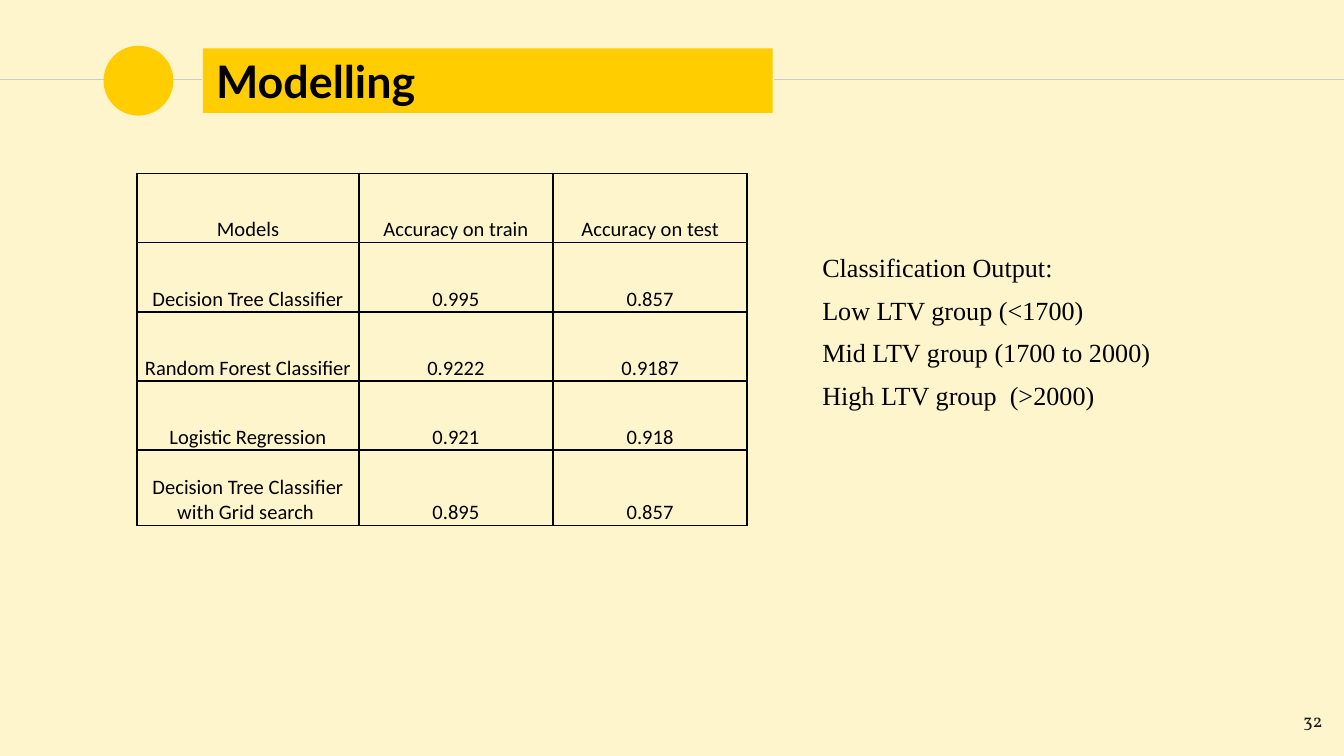
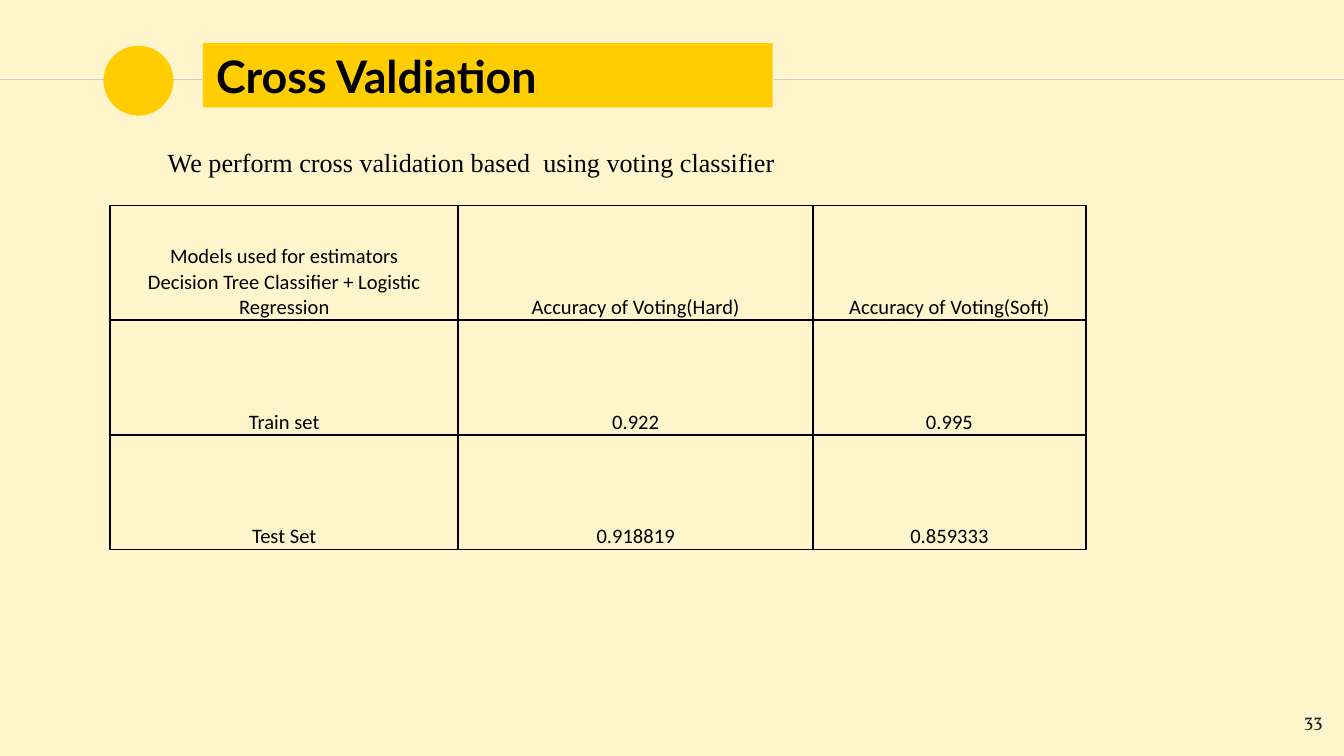
from dataclasses import dataclass

from lxml import etree
from pptx import Presentation
from pptx.dml.color import RGBColor
from pptx.enum import shapes, text
from pptx.oxml import ns
from pptx.util import Inches, Pt


@dataclass(frozen=True)
class Theme:
    background: str = "FFF5CC"
    accent: str = "FFCD00"
    rule: str = "CCCCCC"
    ink: str = "000000"
    number_ink: str = "1D1D1B"
    title_font: tuple = ("Lato", 24)
    body_font: tuple = ("Times New Roman", 14)
    table_font: tuple = ("Calibri", 11)
    number_font: tuple = ("Vollkorn", 10)


THEME = Theme()
WIDTH = 10
HEIGHT = WIDTH * 9 / 16
RULE_Y = 0.59
BAND_LEFT, BAND_WIDTH, BAND_HEIGHT = 1.51, 4.24, 0.48

# Content
SLIDES = [
    {
        "title": "Modelling",
        "title_top": 0.36,
        "number": "32",
        "body_box": (5.94, 1.77, 4.06, 3.2),
        "body": [
            "Classification Output:",
            "Low LTV group (<1700)",
            "Mid LTV group (1700 to 2000)",
            "High LTV group  (>2000)",
        ],
        "table_at": (1.02, 1.29),
        "columns": [1.65] + [2.89 / 2] * 2,
        "row_heights": [2.06 / 4] * 4 + [0.56],
        "rows": [
            ("Models", "Accuracy on train", "Accuracy on test"),
            ("Decision Tree Classifier", "0.995", "0.857"),
            ("Random Forest Classifier", "0.9222", "0.9187"),
            ("Logistic Regression", "0.921", "0.918"),
            ("Decision Tree Classifier with Grid search ", "0.895", "0.857"),
        ],
    },
    {
        "title": "Cross Valdiation",
        "title_top": 0.32,
        "number": "33",
        "body_box": (1.07, 0.99, 6.34, 0.54),
        "body": ["We perform cross validation based  using voting classifier"],
        "table_at": (0.82, 1.53),
        "columns": [2.59, 2.64, 2.03],
        "row_heights": [2.56 / 3] * 3,
        "rows": [
            (
                "Models used for estimators\nDecision Tree Classifier + Logistic Regression",
                "Accuracy of Voting(Hard)",
                "Accuracy of Voting(Soft)",
            ),
            ("Train set", "0.922", "0.995"),
            ("Test Set", "0.918819", "0.859333"),
        ],
    },
]


def rgb(color):
    return RGBColor.from_string(color)


def write(frame, lines, font, color=THEME.ink, align=text.PP_ALIGN.LEFT, bold=False):
    frame.text = "\n".join(lines)
    frame.word_wrap = True
    name, size = font
    for paragraph in frame.paragraphs:
        paragraph.alignment = align
        for run in paragraph.runs:
            run.font.name, run.font.size, run.font.bold = name, Pt(size), bold
            run.font.color.rgb = rgb(color)


def set_insets(target, left, top, right, bottom):
    target.margin_left, target.margin_top = Inches(left), Inches(top)
    target.margin_right, target.margin_bottom = Inches(right), Inches(bottom)


# Parts shared by both slides
def add_accent(slide, kind, box):
    accent = slide.shapes.add_shape(kind, *map(Inches, box))
    accent.shadow.inherit = False
    accent.fill.solid()
    accent.fill.fore_color.rgb = rgb(THEME.accent)
    accent.line.fill.background()
    return accent


def add_rule(slide, start, end):
    rule = slide.shapes.add_connector(
        shapes.MSO_CONNECTOR.STRAIGHT,
        Inches(start), Inches(RULE_Y), Inches(end), Inches(RULE_Y))
    rule.line.color.rgb = rgb(THEME.rule)
    rule.line.width = Pt(0.75)
    etree.SubElement(rule._element.spPr, ns.qn("a:effectLst"))


def add_textbox(slide, box):
    frame = slide.shapes.add_textbox(*map(Inches, box)).text_frame
    set_insets(frame, 0.1, 0.1, 0.1, 0.1)
    return frame


def add_header(slide, title, top):
    add_rule(slide, 0, 1.5)
    add_accent(slide, shapes.MSO_SHAPE.OVAL, (0.77, RULE_Y - 0.25, 0.52, 0.52))
    add_rule(slide, 5.76, WIDTH)
    band = add_accent(slide, shapes.MSO_SHAPE.RECTANGLE,
                      (BAND_LEFT, top, BAND_WIDTH, BAND_HEIGHT)).text_frame
    set_insets(band, 0.1, 0.1, 0.1, 0.1)
    band.vertical_anchor = text.MSO_ANCHOR.MIDDLE
    write(band, [title], THEME.title_font, bold=True)


def add_number(slide, number):
    write(add_textbox(slide, (9.34, 5.19, 0.6, 0.43)), [number],
          THEME.number_font, THEME.number_ink, text.PP_ALIGN.RIGHT)


def add_body(slide, box, lines):
    frame = add_textbox(slide, box)
    write(frame, lines, THEME.body_font)
    for paragraph in frame.paragraphs:
        paragraph.space_before = Pt(6)
        properties = paragraph._p.get_or_add_pPr()
        properties.set("marL", str(Inches(0.08)))
        properties.set("indent", "0")


# Tables
def add_borders(cell):
    properties = cell._tc.get_or_add_tcPr()
    for side in ("lnL", "lnR", "lnT", "lnB"):
        border = etree.SubElement(properties, ns.qn(f"a:{side}"), w=str(Pt(1)))
        fill = etree.SubElement(border, ns.qn("a:solidFill"))
        etree.SubElement(fill, ns.qn("a:srgbClr"), val=THEME.ink)


def add_table(slide, position, columns, row_heights, rows):
    size = sum(columns), sum(row_heights)
    table = slide.shapes.add_table(
        len(rows), len(columns), *map(Inches, position + size)).table
    table.first_row = table.horz_banding = False
    for column, width in zip(table.columns, columns):
        column.width = Inches(width)
    for row, height, values in zip(table.rows, row_heights, rows):
        row.height = Inches(height)
        for cell, value in zip(row.cells, values):
            add_borders(cell)
            cell.fill.background()
            set_insets(cell, 0.01, 0.01, 0.01, 0)
            cell.vertical_anchor = text.MSO_ANCHOR.BOTTOM
            write(cell.text_frame, value.split("\n"), THEME.table_font,
                  align=text.PP_ALIGN.CENTER)


def main():
    deck = Presentation()
    deck.slide_width, deck.slide_height = Inches(WIDTH), Inches(HEIGHT)
    for content in SLIDES:
        slide = deck.slides.add_slide(deck.slide_layouts[6])
        slide.background.fill.solid()
        slide.background.fill.fore_color.rgb = rgb(THEME.background)
        add_header(slide, content["title"], content["title_top"])
        add_number(slide, content["number"])
        add_body(slide, content["body_box"], content["body"])
        add_table(slide, content["table_at"], content["columns"],
                  content["row_heights"], content["rows"])
    deck.save("out.pptx")


if __name__ == "__main__":
    main()
